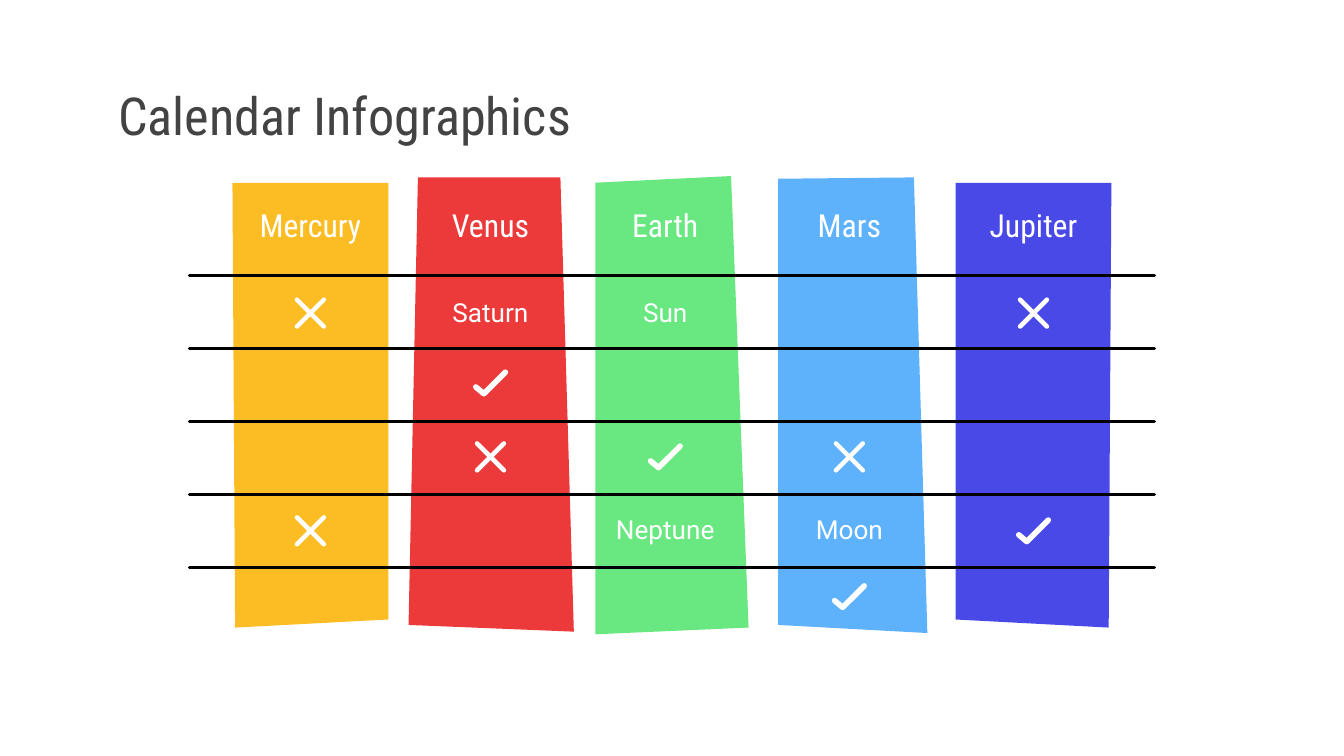
from lxml import etree
from pptx import Presentation
from pptx.dml.color import RGBColor
from pptx.enum import shapes, text
from pptx.oxml.ns import qn
from pptx.util import Inches, Pt

# Content: name, colour, centre, corners, marks by row
TITLE = "Calendar Infographics"
COLUMNS = [
    ("Jupiter", "4949E7", 7.69,
     [(7.11, 1.36), (7.11, 4.61), (8.25, 4.67), (8.27, 1.36)],
     {0: "cross", 3: "check"}),
    ("Mercury", "FCBD24", 2.31,
     [(1.73, 1.36), (1.75, 4.67), (2.89, 4.61), (2.89, 1.36)],
     {0: "cross", 3: "cross"}),
    ("Mars", "5EB2FC", 6.32,
     [(6.8, 1.32), (5.79, 1.33), (5.79, 4.65), (6.9, 4.71)],
     {2: "cross", 3: "Moon", 4: "check"}),
    ("Venus", "EC3A3B", 3.65,
     [(3.11, 1.32), (3.04, 4.65), (4.27, 4.7), (4.17, 1.32)],
     {0: "Saturn", 1: "check", 2: "cross"}),
    ("Earth", "69E781", 4.95,
     [(5.44, 1.31), (4.43, 1.36), (4.43, 4.72), (5.57, 4.67)],
     {0: "Sun", 2: "check", 3: "Neptune"}),
]
ROWS = [2.33, 2.85, 3.4, 3.95, 4.44]
HEAD = 1.67
RULES, RULE_TOP, RULE_END = 5, 2.05, 4.22
RULE_LEFT, RULE_RIGHT = 1.41, 8.59

# Line width and strokes of each mark, measured from its centre
MARKS = {
    "cross": (2.4, [[(-0.1, -0.1), (0.1, 0.1)], [(-0.1, 0.1), (0.1, -0.1)]]),
    "check": (3, [[(-0.11, 0.03), (-0.05, 0.08), (0.11, -0.08)]]),
}

deck = Presentation()
deck.slide_width = Inches(10)
deck.slide_height = deck.slide_width * 9 // 16
slide = deck.slides.add_slide(deck.slide_layouts[5])


def color(code):
    return RGBColor.from_string(code)


def write(frame, words, size, face, code, align):
    frame.word_wrap = True
    frame.vertical_anchor = text.MSO_ANCHOR.MIDDLE
    frame.margin_left = frame.margin_right = Inches(0.1)
    frame.margin_top = frame.margin_bottom = Inches(0.1)
    para = frame.paragraphs[0]
    para.text, para.alignment = words, align
    para.font.size, para.font.name = Pt(size), face
    para.font.color.rgb = color(code)


def label(words, x, y, size, face):
    wide, high = 1.23, 0.43
    box = slide.shapes.add_textbox(Inches(x - wide / 2), Inches(y - high / 2),
                                   Inches(wide), Inches(high))
    write(box.text_frame, words, size, face, "FFFFFF", text.PP_ALIGN.CENTER)


def outline(parts, closed):
    parts = [[(Inches(x), Inches(y)) for x, y in part] for part in parts]
    pen = slide.shapes.build_freeform(*parts[0][0])
    pen.add_line_segments(parts[0][1:], close=closed)
    for part in parts[1:]:
        pen.move_to(*part[0])
        pen.add_line_segments(part[1:], close=closed)
    shape = pen.convert_to_shape()
    shape.shadow.inherit = False
    return shape


def stroke(shape, code, width):
    shape.line.color.rgb = color(code)
    shape.line.width = Pt(width)
    line = shape.element.spPr.find(qn("a:ln"))
    line.set("cap", "rnd")
    etree.SubElement(line, qn("a:round"))


# Title
title = slide.shapes.title
title.left, title.top = Inches(0.78), Inches(0.59)
title.width, title.height = Inches(8.45), Inches(0.53)
write(title.text_frame, TITLE, 28, "Roboto Condensed", "434343",
      text.PP_ALIGN.LEFT)

# Columns with their headings and marks
for name, code, mid, corners, cells in COLUMNS:
    panel = outline([corners], True)
    panel.fill.solid()
    panel.fill.fore_color.rgb = color(code)
    panel.line.fill.background()
    label(name, mid, HEAD, 17, "Roboto Condensed")
    for row, cell in cells.items():
        y = ROWS[row]
        if cell in MARKS:
            width, parts = MARKS[cell]
            mark = outline([[(mid + dx, y + dy) for dx, dy in part]
                            for part in parts], False)
            mark.fill.background()
            stroke(mark, "FFFFFF", width)
        else:
            label(cell, mid, y - 0.01, 14, "Roboto")

# Rules across the columns
gap = (RULE_END - RULE_TOP) / (RULES - 1)
for i in range(RULES):
    y = Inches(RULE_TOP + i * gap)
    rule = slide.shapes.add_connector(shapes.MSO_CONNECTOR.STRAIGHT,
                                      Inches(RULE_LEFT), y,
                                      Inches(RULE_RIGHT), y)
    stroke(rule, "000000", 1.7)
    etree.SubElement(rule.element.spPr, qn("a:effectLst"))

deck.save("out.pptx")
